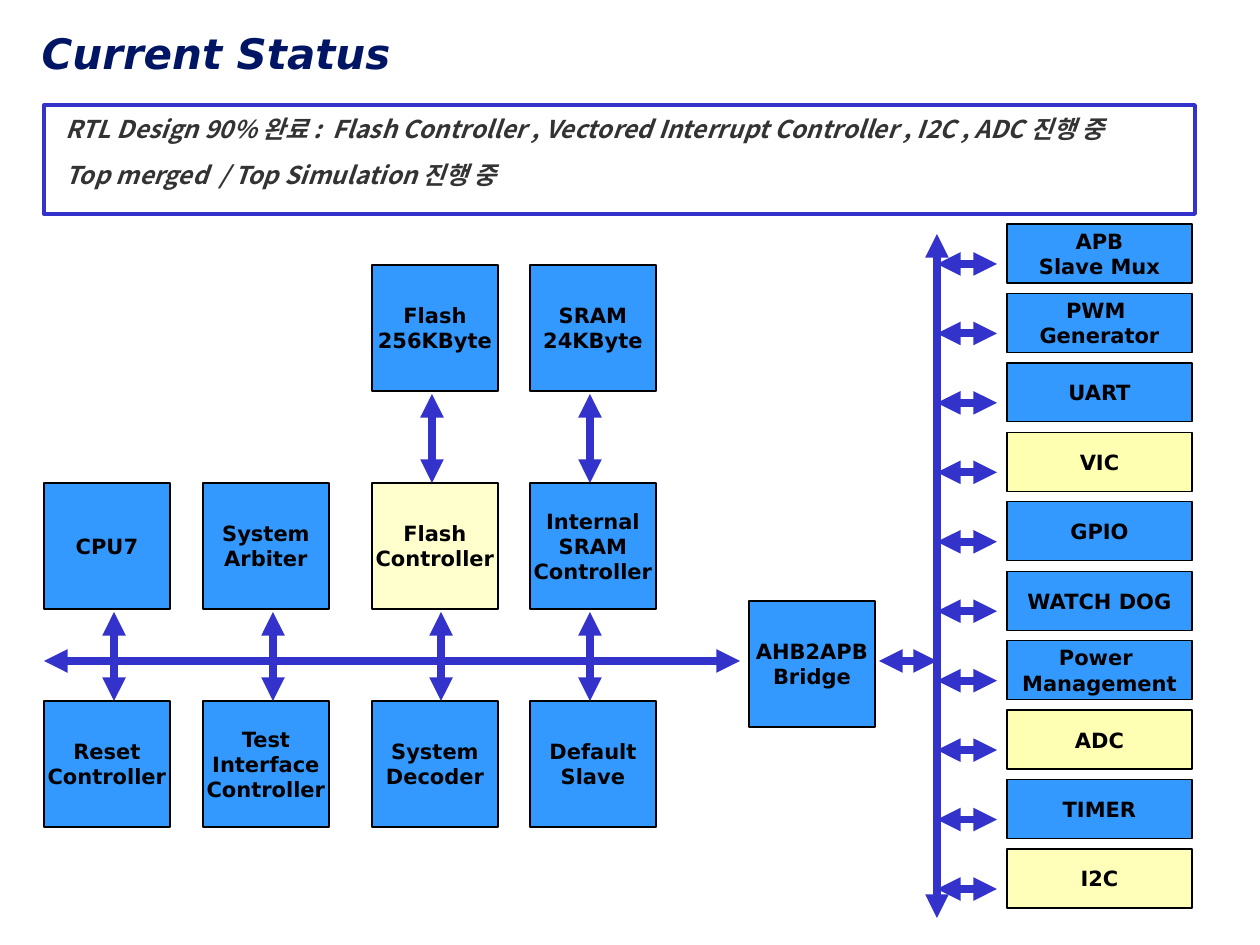
import pptx
import pptx.util
import pptx.dml.color
import pptx.enum.shapes
import pptx.enum.text
import pptx.oxml.ns
from lxml import etree

PX = 914400 / 126
TITLE_FONT = "DejaVu Sans"
NOTE_FONT = "Noto Sans CJK KR"
DONE, ONGOING, BUS, BLACK = "3399FF", "FFFF66", "3333CC", "000000"
ALIGN = pptx.enum.text.PP_ALIGN
ANCHOR = pptx.enum.text.MSO_ANCHOR
BLOCK = 126
BUS_Y = 661


def emu(px):
    return pptx.util.Emu(round(px * PX))


def rgb(color):
    return pptx.dml.color.RGBColor.from_string(color)


def add_xml(parent, tag, **attributes):
    return etree.SubElement(parent, pptx.oxml.ns.qn(tag), attributes)


def write(frame, lines, size=12, font=TITLE_FONT, color=BLACK, italic=False,
          align=ALIGN.CENTER, anchor=ANCHOR.MIDDLE, wrap=False, gap=0, leading=None):
    frame.word_wrap = wrap
    frame.auto_size = pptx.enum.text.MSO_AUTO_SIZE.NONE
    frame.vertical_anchor = anchor
    for index, line in enumerate(lines):
        paragraph = frame.paragraphs[0] if index == 0 else frame.add_paragraph()
        paragraph.alignment = align
        paragraph.space_before = pptx.util.Pt(gap if index else 0)
        if leading:
            paragraph.line_spacing = pptx.util.Pt(leading)
        run = paragraph.add_run()
        run.text = line
        run.font.size = pptx.util.Pt(size)
        run.font.name = font
        run.font.bold = True
        run.font.italic = italic
        run.font.color.rgb = rgb(color)
        add_xml(run.font._element, "a:ea", typeface=font)


def add_box(slide, x, y, width, height, line=BLACK, weight=0.75, fill=None, opacity=100):
    box = slide.shapes.add_shape(pptx.enum.shapes.MSO_SHAPE.RECTANGLE,
                                 emu(x), emu(y), emu(width), emu(height))
    box.shadow.inherit = False
    box.line.color.rgb = rgb(line)
    box.line.width = pptx.util.Pt(weight)
    if fill is None:
        box.fill.background()
        return box
    box.fill.solid()
    box.fill.fore_color.rgb = rgb(fill)
    if opacity < 100:
        tint = box._element.spPr.find(".//" + pptx.oxml.ns.qn("a:srgbClr"))
        add_xml(tint, "a:alpha", val=str(opacity * 1000))
    return box


def add_block(slide, x, y, width, height, label, opacity=100):
    """Draw a design block: solid when done, pale yellow when still in progress."""
    fill = DONE if opacity == 100 else ONGOING
    block = add_box(slide, x, y, width, height, fill=fill, opacity=opacity)
    write(block.text_frame, label.split("\n"))


def add_arrow(slide, x1, y1, x2, y2):
    arrow = slide.shapes.add_connector(pptx.enum.shapes.MSO_CONNECTOR.STRAIGHT,
                                       emu(x1), emu(y1), emu(x2), emu(y2))
    arrow.line.color.rgb = rgb(BUS)
    arrow.line.width = pptx.util.Pt(4.5)
    stroke = arrow.line._get_or_add_ln()
    add_xml(stroke, "a:headEnd", type="triangle")
    add_xml(stroke, "a:tailEnd", type="triangle")
    add_xml(arrow._element.spPr, "a:effectLst")


def add_title(slide, x, y, width, height):
    title = slide.shapes.title
    title.left, title.top, title.width, title.height = map(emu, (x, y, width, height))
    write(title.text_frame, ["Current Status"], size=24, color="001664", italic=True,
          align=ALIGN.LEFT, anchor=ANCHOR.TOP)


def add_status(slide, x, y, width, height):
    add_box(slide, x, y, width, height, line=BUS, weight=2.25)
    note = slide.shapes.add_textbox(emu(x + 9), emu(y + 3), emu(width + 15), emu(87))
    write(note.text_frame, [
        "RTL Design 90% 완료 :  Flash Controller , Vectored Interrupt Controller , I2C , ADC 진행 중",
        "Top merged  / Top Simulation 진행 중",
    ], size=14, font=NOTE_FONT, color="333333", italic=True, align=ALIGN.LEFT,
        anchor=ANCHOR.TOP, wrap=True, gap=8.8, leading=17)


def add_system_bus(slide, x, y):
    """Columns of memory, controller and bus blocks around the horizontal bus."""
    row_pitch, arrow_length = 218, 89
    # column offset, bus arrow offset, labels from the top row down, controller opacity
    columns = [
        (0, 70, (None, "CPU7", "Reset\nController"), 100),
        (159, 229, (None, "System\nArbiter", "Test\nInterface\nController"), 100),
        (328, 397, ("Flash\n256KByte", "Flash\nController", "System\nDecoder"), 32),
        (486, 546, ("SRAM\n24KByte", "Internal\nSRAM\nController", "Default\nSlave"), 100),
    ]
    add_arrow(slide, x, BUS_Y, x + 696, BUS_Y)
    for offset, arrow_offset, labels, controller_opacity in columns:
        for row, label in enumerate(labels):
            if label:
                add_block(slide, x + offset, y + row * row_pitch, BLOCK, BLOCK, label,
                          controller_opacity if row == 1 else 100)
        bus_top = y + 2 * row_pitch - arrow_length
        add_arrow(slide, x + arrow_offset, bus_top, x + arrow_offset, bus_top + arrow_length)
        if labels[0]:
            memory_x = x + offset + 60
            memory_top = bus_top - row_pitch
            add_arrow(slide, memory_x, memory_top, memory_x, memory_top + arrow_length)


def add_bridge(slide, x, y, bus_x):
    add_block(slide, x, y, BLOCK, BLOCK, "AHB2APB\nBridge")
    add_arrow(slide, x + BLOCK + 4, BUS_Y, bus_x, BUS_Y)


def add_peripheral_bus(slide, x, y, height):
    """Vertical bus at x with peripherals spread evenly over the height."""
    peripherals = [("APB\nSlave Mux", 100), ("PWM \nGenerator", 100), ("UART", 100),
                   ("VIC", 50), ("GPIO", 100), ("WATCH DOG", 100),
                   ("Power \nManagement", 100), ("ADC", 49), ("TIMER", 100), ("I2C", 45)]
    block_height = 59
    pitch = (height - block_height) / (len(peripherals) - 1)
    add_arrow(slide, x, y + 10, x, y + height + 10)
    for index, (label, opacity) in enumerate(peripherals):
        top = y + index * pitch
        add_block(slide, x + 70, top, 185, block_height, label, opacity)
        add_arrow(slide, x, top + 40, x + 60, top + 40)


def main():
    deck = pptx.Presentation()
    deck.slide_width, deck.slide_height = emu(1260), emu(945)
    slide = deck.slides.add_slide(deck.slide_layouts[5])
    add_title(slide, 29, 21, 496, 63)
    add_status(slide, 44, 105, 1151, 109)
    add_system_bus(slide, 44, 265)
    add_bridge(slide, 749, 601, bus_x=937)
    add_peripheral_bus(slide, 937, 224, 684)
    deck.save("out.pptx")


if __name__ == "__main__":
    main()
